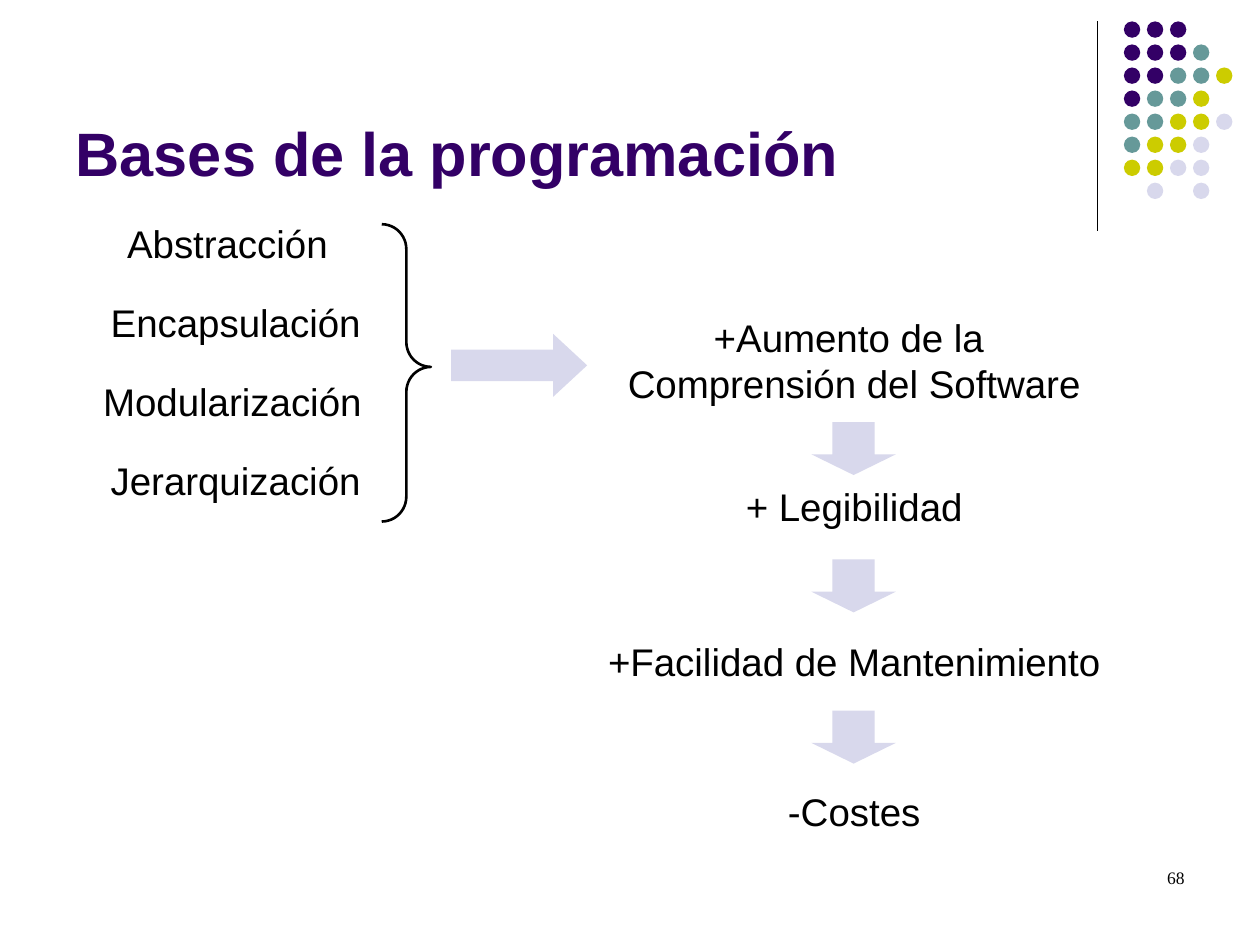
from lxml import etree
from pptx import Presentation
from pptx.dml.color import RGBColor
from pptx.enum import shapes, text
from pptx.oxml.ns import qn
from pptx.util import Inches, Pt

TITLE = "Bases de la programación"
BASES = [
    ("Abstracción", 0.91, 1.82),
    ("Encapsulación", 0.78, 2.22),
    ("Modularización", 0.72, 2.28),
    ("Jerarquización", 0.78, 2.22),
]
GAINS = [
    (["+Aumento de la ", "Comprensión del Software"], 2.57),
    (["+ Legibilidad"], 3.73),
    (["+Facilidad de Mantenimiento"], 4.96),
    (["-Costes"], 6.15),
]
DROPS = [3.35, 4.44, 5.64]
DOTS = ["PPP", "PPPT", "PPTTY", "PTTY", "TTYYL", "TYYL", "YYLL", " L L"]
HUES = {"P": "330066", "T": "669999", "Y": "CCCC00", "L": "D8D8EC"}
PITCH = 1.28 / 7
STEP = 1.88 / 3
BLACK = "000000"
KIND = shapes.MSO_SHAPE
LEFT, MID, RIGHT = text.PP_ALIGN.LEFT, text.PP_ALIGN.CENTER, text.PP_ALIGN.RIGHT


def paint(spot, hue):
    if hue:
        spot.solid()
        spot.fore_color.rgb = RGBColor.from_string(hue)
    else:
        spot.background()


def draw(slide, kind, box, fill=None, line=None, adj=()):
    shape = slide.shapes.add_shape(kind, *map(Inches, box))
    shape.shadow.inherit = False
    paint(shape.fill, fill)
    paint(shape.line.fill, line)
    for i, value in enumerate(adj):
        shape.adjustments[i] = value
    return shape


def write(shape, lines, size=22, font="Arial", hue=BLACK, bold=False,
          align=LEFT, anchor=text.MSO_ANCHOR.TOP, wrap=False):
    frame = shape.text_frame
    frame.word_wrap = wrap
    frame.vertical_anchor = anchor
    for i, line in enumerate(lines):
        para = frame.add_paragraph() if i else frame.paragraphs[0]
        para.alignment = align
        run = para.add_run()
        run.text = line
        run.font.size = Pt(size)
        run.font.name = font
        run.font.bold = bold
        paint(run.font.fill, hue)


def label(slide, box, lines, **style):
    shape = slide.shapes.add_textbox(*map(Inches, box))
    write(shape, lines, **style)
    return shape


def main():
    deck = Presentation()
    deck.slide_width, deck.slide_height = Inches(10), Inches(7.5)
    slide = deck.slides.add_slide(deck.slide_layouts[5])

    rule = slide.shapes.add_connector(
        shapes.MSO_CONNECTOR.STRAIGHT, *map(Inches, (8.71, 0.17, 8.71, 1.83)))
    paint(rule.line.fill, BLACK)
    rule.line.width = Pt(0.75)
    etree.SubElement(rule._element.spPr, qn("a:effectLst"))

    for row, marks in enumerate(DOTS):
        for col, mark in enumerate(marks):
            if mark in HUES:
                box = (8.92 + col * PITCH, 0.17 + row * PITCH, 0.13, 0.13)
                draw(slide, KIND.OVAL, box, HUES[mark])

    title = slide.shapes.title
    title.left, title.top, title.width, title.height = map(
        Inches, (0.5, 0.13, 8.25, 1.42))
    write(title, [TITLE], size=35, hue=HUES["P"], bold=True,
          anchor=text.MSO_ANCHOR.BOTTOM, wrap=True)

    for i, (name, left, width) in enumerate(BASES):
        item = label(slide, (left, 1.7 + i * STEP, width, 0.47), [name])
        item.text_frame.auto_size = text.MSO_AUTO_SIZE.SHAPE_TO_FIT_TEXT

    for lines, top in GAINS:
        card = draw(slide, KIND.ROUNDED_RECTANGLE, (4.53, top, 4.5, 0.58))
        write(card, lines, align=MID, anchor=text.MSO_ANCHOR.MIDDLE)

    draw(slide, KIND.RIGHT_ARROW, (3.58, 2.65, 1.08, 0.5), HUES["L"],
         adj=(0.5, 0.54))
    for top in DROPS:
        draw(slide, KIND.DOWN_ARROW, (6.44, top, 0.67, 0.42), HUES["L"],
             adj=(0.5, 0.39))
    brace = draw(slide, KIND.RIGHT_BRACE, (3.03, 1.78, 0.39, 2.36),
                 line=BLACK, adj=(0.51, 0.48))
    brace.line.width = Pt(1.5)

    label(slide, (7.17, 6.83, 2.33, 0.5), ["68"], size=10,
          font="Times New Roman", align=RIGHT, wrap=True)
    deck.save("out.pptx")


if __name__ == "__main__":
    main()
